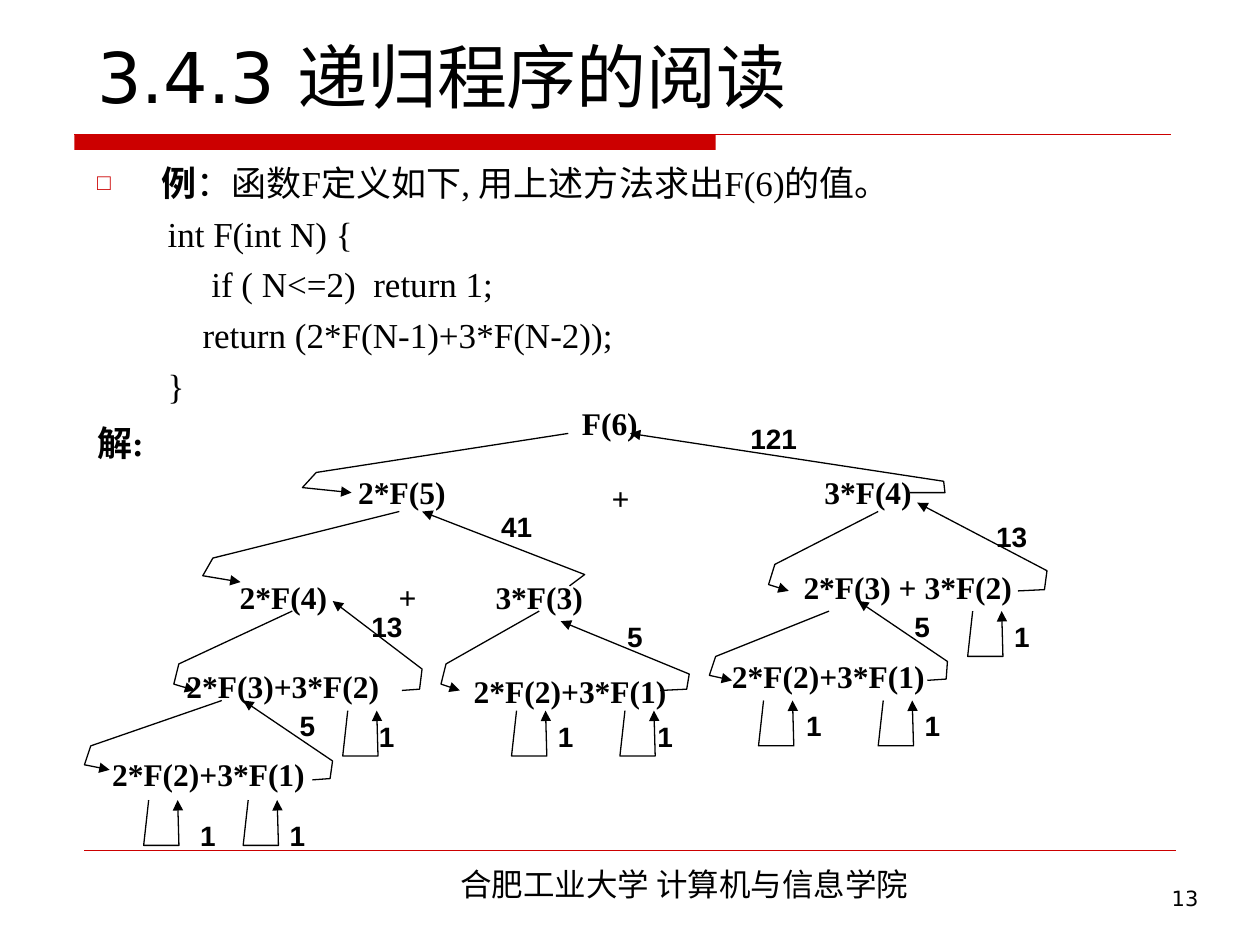
from lxml.etree import SubElement
from pptx import Presentation
from pptx.dml.color import RGBColor
from pptx.enum.shapes import MSO_CONNECTOR, MSO_SHAPE
from pptx.enum.text import MSO_ANCHOR, MSO_AUTO_SIZE, PP_ALIGN
from pptx.oxml.ns import qn
from pptx.util import Inches, Pt

RED, BLACK = "CC0000", "000000"
CJK = "Noto Sans CJK SC"
TITLE = {"name": "DejaVu Sans", "size": Pt(40), "bold": False}
BODY = {"name": "Times New Roman", "size": Pt(20), "bold": False}
STRONG = {**BODY, "bold": True}
NODE = {"name": "Times New Roman", "size": Pt(18), "bold": True}
VALUE = {"name": "Arial", "size": Pt(16), "bold": True}
FOOTER = {"name": CJK, "size": Pt(18), "bold": False}
NUMBER = {"name": "DejaVu Sans", "size": Pt(12), "bold": False}


def rgb(color):
    return RGBColor.from_string(color)


class SlideBuilder:
    def __init__(self, slide):
        self.s = slide

    def place(self, sp, box, anchor=MSO_ANCHOR.TOP, wrap=True):
        """Set the box of a text shape and return its text frame."""
        sp.left, sp.top, sp.width, sp.height = (Inches(v) for v in box)
        tf = sp.text_frame
        tf.auto_size = MSO_AUTO_SIZE.NONE
        tf.word_wrap = wrap
        tf.vertical_anchor = anchor
        return tf

    def run(self, p, text, style):
        r = p.add_run()
        r.text = text
        for name, value in style.items():
            setattr(r.font, name, value)
        r.font.color.rgb = rgb(BLACK)
        SubElement(r.font._element, qn("a:ea"), typeface=CJK)

    def text(self, text, box, style, align=PP_ALIGN.CENTER, **layout):
        sp = self.s.shapes.add_textbox(0, 0, 0, 0)
        p = self.place(sp, box, **layout).paragraphs[0]
        p.alignment = align
        self.run(p, text, style)

    def label(self, text, box, style):
        self.text(text, box, style, anchor=MSO_ANCHOR.MIDDLE, wrap=False)

    def value(self, text, left, top):
        self.label(text, (left, top, 0.24, 0.24), VALUE)

    def title(self, text, box):
        p = self.place(self.s.shapes.title, box, MSO_ANCHOR.BOTTOM).paragraphs[0]
        p.alignment = PP_ALIGN.LEFT
        self.run(p, text, TITLE)

    def body(self, items, box):
        """Fill the body from (runs, left margin, hanging, space before, bullet)."""
        tf = self.place(self.s.placeholders[1], box)
        for i, (runs, margin, hanging, space, bullet) in enumerate(items):
            p = tf.add_paragraph() if i else tf.paragraphs[0]
            p.space_before = Pt(space)
            pPr = p._p.get_or_add_pPr()
            pPr.set("marL", str(Inches(margin)))
            pPr.set("indent", str(-Inches(hanging)))
            if bullet:
                SubElement(SubElement(pPr, qn("a:buClr")), qn("a:srgbClr"), val=RED)
                SubElement(pPr, qn("a:buSzPct"), val="65000")
                SubElement(pPr, qn("a:buChar"), char=bullet)
            else:
                SubElement(pPr, qn("a:buNone"))
            for text, style in runs:
                self.run(p, text, style)

    def bar(self, box):
        sp = self.s.shapes.add_shape(MSO_SHAPE.RECTANGLE, *(Inches(v) for v in box))
        sp.shadow.inherit = False
        sp.fill.solid()
        sp.fill.fore_color.rgb = rgb(RED)
        sp.line.fill.background()

    def rule(self, left, right, y, width):
        line = self.s.shapes.add_connector(
            MSO_CONNECTOR.STRAIGHT, Inches(left), Inches(y), Inches(right), Inches(y))
        line.line.color.rgb = rgb(RED)
        line.line.width = Pt(width)
        SubElement(line._element.spPr, qn("a:effectLst"))

    def arrow(self, *points):
        """Draw an open bent line with an arrowhead at its last point."""
        start, *rest = [(Inches(x), Inches(y)) for x, y in points]
        builder = self.s.shapes.build_freeform(*start)
        builder.add_line_segments(rest, close=False)
        sp = builder.convert_to_shape()
        sp.shadow.inherit = False
        sp.fill.background()
        sp.line.color.rgb = rgb(BLACK)
        sp.line.width = Pt(0.75)
        SubElement(sp.line._get_or_add_ln(), qn("a:tailEnd"), type="triangle")

    def base_case(self, x, y, label_x, label_y):
        """Draw the U-shaped call and return of a base case with its value 1."""
        self.arrow((x + 0.04, y), (x, y + 0.36), (x + 0.28, y + 0.36), (x + 0.27, y))
        self.value("1", label_x, label_y)


NODES = [
    ("F(6)", (4.37, 3.2, 0.94, 0.32)),
    ("2*F(5)", (2.64, 3.75, 1.1, 0.31)),
    ("+", (4.69, 3.83, 0.47, 0.24)),
    ("3*F(4)", (6.26, 3.75, 1.26, 0.31)),
    ("2*F(4)", (1.7, 4.54, 1.1, 0.39)),
    ("+", (3, 4.54, 0.47, 0.39)),
    ("3*F(3)", (3.73, 4.54, 1.1, 0.39)),
    ("2*F(3) + 3*F(2)", (6.1, 4.46, 2.21, 0.39)),
    ("2*F(3)+3*F(2)", (1.3, 5.25, 1.89, 0.39)),
    ("2*F(2)+3*F(1)", (3.58, 5.25, 1.89, 0.47)),
    ("2*F(2)+3*F(1)", (5.71, 5.17, 1.73, 0.39)),
    ("2*F(2)+3*F(1)", (0.83, 5.95, 1.65, 0.39)),
]
CALLS = [
    ((4.51, 3.44), (2.51, 3.75), (2.4, 3.87), (2.79, 3.91)),
    ((3.17, 4.06), (1.69, 4.43), (1.61, 4.57), (1.91, 4.62)),
    ((4.28, 4.85), (3.54, 5.27), (3.5, 5.43), (3.65, 5.48)),
    ((2.32, 4.85), (1.42, 5.27), (1.38, 5.43), (1.55, 5.48)),
    ((6.97, 4.06), (6.15, 4.48), (6.1, 4.64), (6.26, 4.69)),
    ((1.76, 5.56), (0.72, 5.92), (0.67, 6.07), (0.87, 6.11)),
    ((6.58, 4.85), (5.68, 5.21), (5.63, 5.36), (5.81, 5.4)),
]
# Returned value, its position, then the path back to the caller
RETURNS = [
    ("121", (6.02, 3.36), ((7.22, 3.91), (7.5, 3.91), (7.49, 3.82), (5, 3.44))),
    ("41", (3.98, 4.06), ((4.52, 4.65), (4.64, 4.56), (3.35, 4.06))),
    ("13", (7.91, 4.14), ((8.08, 4.69), (8.29, 4.68), (8.31, 4.53), (7.28, 3.99))),
    ("5", (7.2, 4.85), ((7.36, 5.4), (7.51, 5.39), (7.52, 5.25), (6.81, 4.77))),
    ("5", (4.92, 4.93), ((5.24, 5.48), (5.45, 5.47), (5.47, 5.35), (4.45, 4.93))),
    ("13", (2.95, 4.85), ((3.19, 5.48), (3.33, 5.47), (3.35, 5.31), (2.64, 4.77))),
    ("5", (2.32, 5.64), ((2.48, 6.19), (2.62, 6.18), (2.64, 6.04), (1.93, 5.56))),
]
# Left and top of the U shape, then of its value
BASE_CASES = [
    (1.14, 6.35, 1.53, 6.51), (1.93, 6.35, 2.24, 6.51),
    (2.72, 5.64, 2.95, 5.72), (4.06, 5.64, 4.37, 5.72),
    (4.92, 5.64, 5.16, 5.72), (6.02, 5.56, 6.34, 5.64),
    (6.97, 5.56, 7.28, 5.64), (7.68, 4.85, 7.99, 4.93),
]
CODE = [
    "int F(int N) {",
    "     if ( N<=2)  return 1;",
    "    return (2*F(N-1)+3*F(N-2));",
    "}",
]


def main():
    prs = Presentation()
    prs.slide_width, prs.slide_height = Inches(10), Inches(7.5)
    b = SlideBuilder(prs.slides.add_slide(prs.slide_layouts[1]))

    b.bar((0.59, 1.07, 5.09, 0.12))
    b.rule(0.59, 9.29, 1.07, 0.75)
    b.rule(0.67, 9.33, 6.75, 0.25)
    b.text("合肥工业大学 计算机与信息学院", (2.4, 6.82, 6.06, 0.4), FOOTER)
    b.text("13", (7.44, 6.98, 2.17, 0.52), NUMBER, PP_ALIGN.RIGHT)

    b.title("3.4.3 递归程序的阅读", (0.67, -0.35, 8.75, 1.33))
    question = [("例", STRONG), ("：函数F定义如下, 用上述方法求出F(6)的值。", BODY)]
    b.body([(question, 0.51, 0.51, 0, "□")]
           + [([(line, BODY)], 0.56, 0, 5, None) for line in CODE]
           + [([("解:", STRONG)], 0, 0, 8.5, None)],
           (0.67, 1.23, 8.74, 5.51))

    for text, box in NODES:
        b.label(text, box, NODE)
    for points in CALLS:
        b.arrow(*points)
    for text, position, points in RETURNS:
        b.arrow(*points)
        b.value(text, *position)
    for case in BASE_CASES:
        b.base_case(*case)

    prs.save("out.pptx")


if __name__ == "__main__":
    main()
